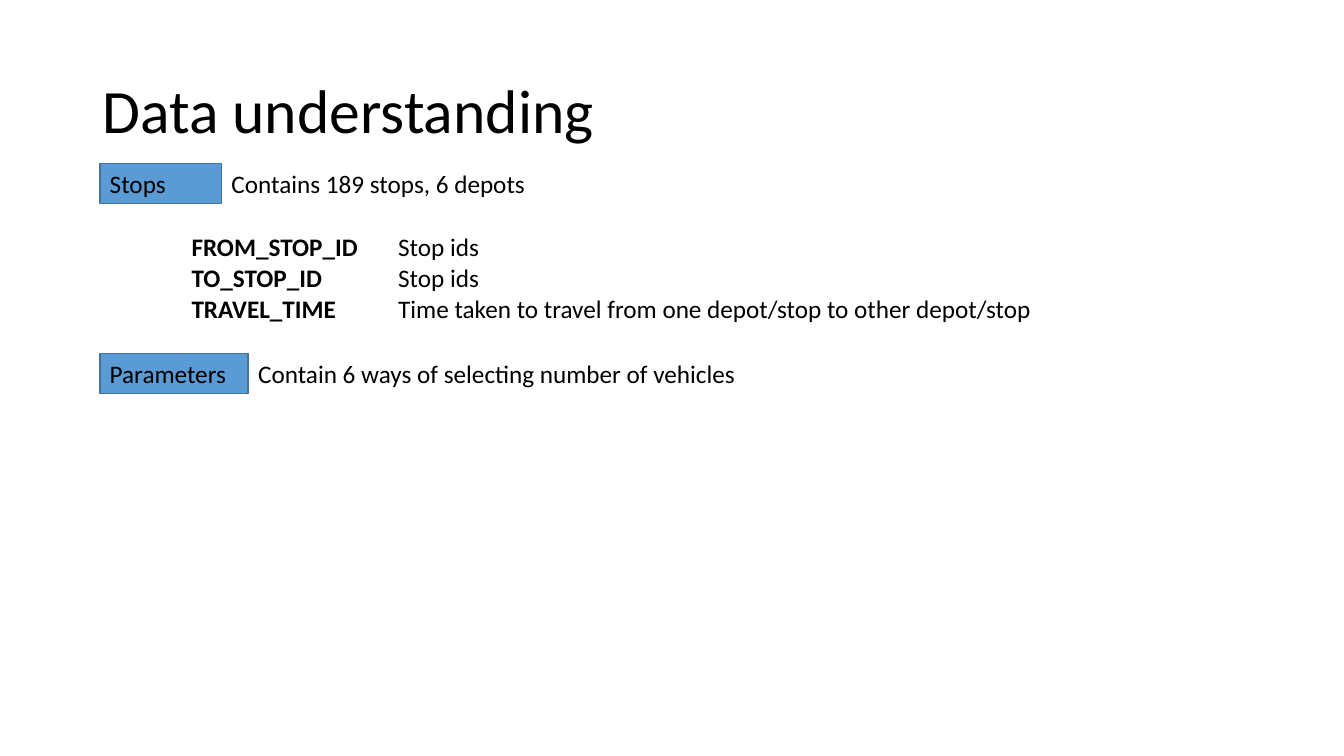
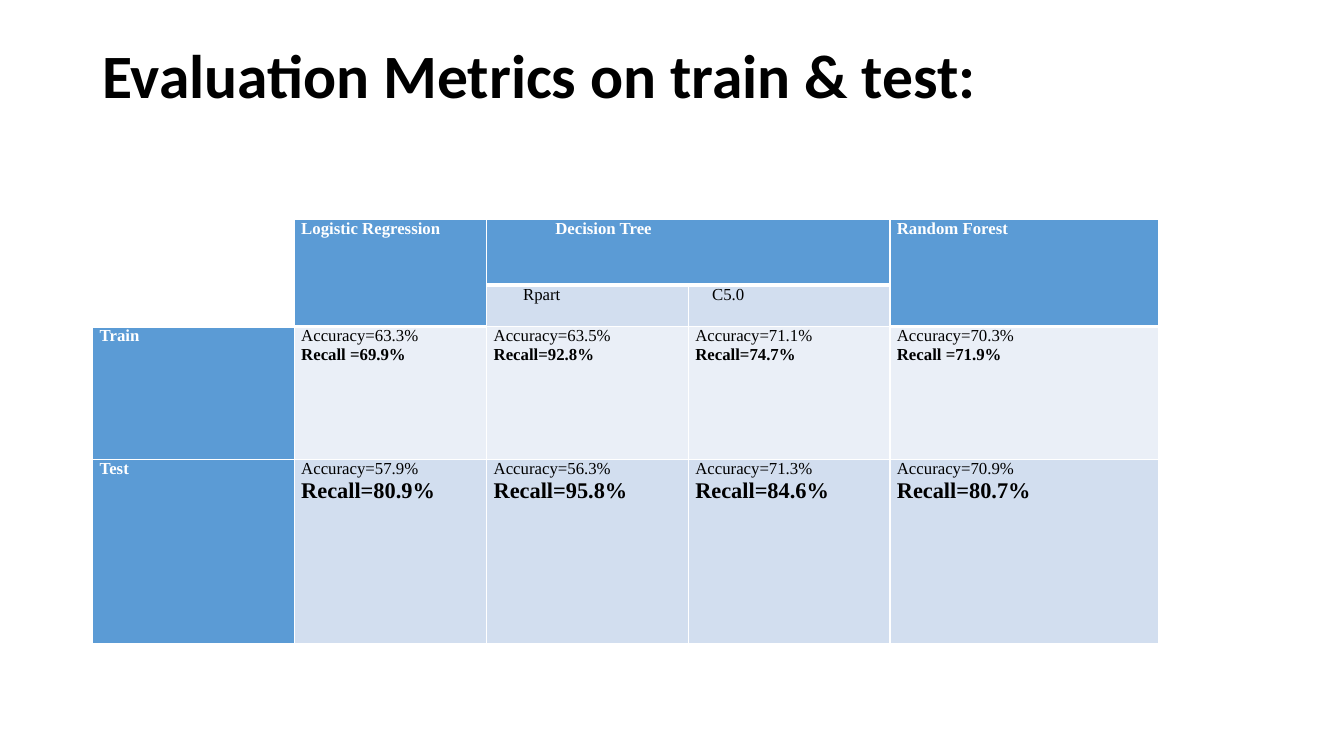
from dataclasses import dataclass

from lxml import etree
from pptx import Presentation
from pptx.dml.color import RGBColor
from pptx.enum.shapes import MSO_SHAPE
from pptx.enum.text import MSO_ANCHOR, MSO_AUTO_SIZE, PP_ALIGN
from pptx.oxml.ns import qn
from pptx.util import Pt

RECT = MSO_SHAPE.RECTANGLE
LEFT = PP_ALIGN.LEFT
TOP, MIDDLE = MSO_ANCHOR.TOP, MSO_ANCHOR.MIDDLE
NO_AUTOFIT = MSO_AUTO_SIZE.NONE

BLACK = RGBColor(0x00, 0x00, 0x00)
WHITE = RGBColor(0xFF, 0xFF, 0xFF)
BLUE = RGBColor(0x5B, 0x9B, 0xD5)
BLUE_EDGE = RGBColor(0x43, 0x73, 0x9E)
BAND_DARK = RGBColor(0xD2, 0xDE, 0xEF)
BAND_LIGHT = RGBColor(0xEA, 0xEF, 0xF7)

SANS, SERIF = "Calibri", "Times New Roman"
TITLE_ONLY = 5
LABEL_LEFT, LABEL_HEIGHT = 71.3, 28.8


@dataclass(frozen=True)
class Line:
    text: str
    size: float = 18
    bold: bool = False
    color: RGBColor = BLACK
    font: str = SANS


@dataclass(frozen=True)
class Dataset:
    name: str
    description: str
    top: float
    width: float


@dataclass(frozen=True)
class Heading:
    text: str
    row: int
    col: int
    last_row: int
    last_col: int
    fill: RGBColor = BLUE
    indent: float = 0


@dataclass(frozen=True)
class Result:
    name: str
    scores: list[tuple[str, str]]
    recall_size: float
    fill: RGBColor


DATASETS = [
    Dataset("Stops", "Contains 189 stops, 6 depots", 116.7, 87),
    Dataset("Parameters", "Contain 6 ways of selecting number of vehicles", 252.3, 106),
]
FIELDS = [
    ("FROM_STOP_ID", "Stop ids"),
    ("TO_STOP_ID", "Stop ids"),
    ("TRAVEL_TIME", "Time taken to travel from one depot/stop to other depot/stop"),
]
HEADINGS = [
    Heading("", 0, 0, 1, 0, WHITE),
    Heading("Logistic Regression", 0, 1, 1, 1),
    Heading("Decision Tree", 0, 2, 0, 3, indent=44),
    Heading("Random Forest", 0, 4, 1, 4),
    Heading("Rpart", 1, 2, 1, 2, BAND_DARK, 21),
    Heading("C5.0", 1, 3, 1, 3, BAND_DARK, 12),
]
RESULTS = [
    Result("Train", [
        ("Accuracy=63.3%", "Recall =69.9%"),
        ("Accuracy=63.5%", "Recall=92.8%"),
        ("Accuracy=71.1%", "Recall=74.7%"),
        ("Accuracy=70.3%", "Recall =71.9%"),
    ], 12, BAND_LIGHT),
    Result("Test", [
        ("Accuracy=57.9%", "Recall=80.9%"),
        ("Accuracy=56.3%", "Recall=95.8%"),
        ("Accuracy=71.3%", "Recall=84.6%"),
        ("Accuracy=70.9%", "Recall=80.7%"),
    ], 16, BAND_DARK),
]


def write(tf, lines: list[Line]) -> None:
    for i, line in enumerate(lines):
        p = tf.paragraphs[0] if i == 0 else tf.add_paragraph()
        p.alignment = LEFT
        r = p.add_run()
        r.text = line.text
        r.font.name = line.font
        r.font.size = Pt(line.size)
        r.font.bold = line.bold
        r.font.color.rgb = line.color


def add_titled_slide(prs, text: str, bold: bool = False, anchor=MIDDLE):
    s = prs.slides.add_slide(prs.slide_layouts[TITLE_ONLY])
    title = s.shapes.title
    title.left, title.top, title.width, title.height = Pt(66), Pt(28.8), Pt(828), Pt(104.4)
    tf = title.text_frame
    tf.auto_size = NO_AUTOFIT
    tf.vertical_anchor = anchor
    write(tf, [Line(text, 44, bold)])
    tf.paragraphs[0].line_spacing = 0.9
    return s


def add_dataset(s, dataset: Dataset) -> None:
    """Draw a filled name label with its description to the right."""
    top, width, height = Pt(dataset.top), Pt(dataset.width), Pt(LABEL_HEIGHT)
    label = s.shapes.add_shape(RECT, Pt(LABEL_LEFT), top, width, height)
    label.shadow.inherit = False
    label.fill.solid()
    label.fill.fore_color.rgb = BLUE
    label.line.color.rgb = BLUE_EDGE
    label.line.width = Pt(1)
    label.text_frame.vertical_anchor = MIDDLE
    write(label.text_frame, [Line(dataset.name)])

    box = s.shapes.add_textbox(Pt(LABEL_LEFT) + width, top, Pt(416), height)
    box.text_frame.word_wrap = True
    write(box.text_frame, [Line(dataset.description)])


def add_plain_table(s, left: float, top: float, widths: list[float], heights: list[float]):
    """Add a table without header or banding styles."""
    frame = s.shapes.add_table(len(heights), len(widths), Pt(left), Pt(top),
                               Pt(sum(widths)), Pt(sum(heights)))
    table = frame.table
    table.first_row = table.horz_banding = False
    for column, width in zip(table.columns, widths):
        column.width = Pt(width)
    for row, height in zip(table.rows, heights):
        row.height = Pt(height)
    return table


def set_borders(cell, bottom: float = 1) -> None:
    tc_pr = cell._tc.get_or_add_tcPr()
    edges = {"a:lnL": 1, "a:lnR": 1, "a:lnT": 1, "a:lnB": bottom}
    for i, (tag, width) in enumerate(edges.items()):
        ln = etree.Element(qn(tag), w=str(Pt(width)))
        fill = etree.SubElement(ln, qn("a:solidFill"))
        etree.SubElement(fill, qn("a:srgbClr"), val=str(WHITE))
        tc_pr.insert(i, ln)


def format_metric_cell(cell, fill: RGBColor, bottom: float = 1, indent: float = 0) -> None:
    cell.margin_left, cell.margin_right = Pt(5 + indent), Pt(5)
    cell.margin_top = cell.margin_bottom = 0
    cell.fill.solid()
    cell.fill.fore_color.rgb = fill
    set_borders(cell, bottom)


def add_heading(table, heading: Heading) -> None:
    origin = table.cell(heading.row, heading.col)
    last = table.cell(heading.last_row, heading.last_col)
    if origin is not last and (heading.row, heading.col) != (heading.last_row, heading.last_col):
        origin.merge(last)
    is_sub = heading.fill == BAND_DARK
    for row in range(heading.row, heading.last_row + 1):
        for col in range(heading.col, heading.last_col + 1):
            format_metric_cell(table.cell(row, col), heading.fill,
                               1 if is_sub else 3, heading.indent)
    if heading.text:
        color = BLACK if is_sub else WHITE
        write(origin.text_frame, [Line(heading.text, 12, not is_sub, color, SERIF)])


def add_result(table, row: int, result: Result) -> None:
    name = table.cell(row, 0)
    format_metric_cell(name, BLUE)
    write(name.text_frame, [Line(result.name, 12, True, WHITE, SERIF)])
    for col, (accuracy, recall) in enumerate(result.scores, start=1):
        cell = table.cell(row, col)
        format_metric_cell(cell, result.fill)
        write(cell.text_frame, [
            Line(accuracy, 12, font=SERIF),
            Line(recall, result.recall_size, True, font=SERIF),
        ])


def build_data_slide(prs) -> None:
    s = add_titled_slide(prs, "Data understanding")
    for dataset in DATASETS:
        add_dataset(s, dataset)
    table = add_plain_table(s, 129.6, 162.7, [147.6, 492.5], [72])
    for col, texts in enumerate(zip(*FIELDS)):
        cell = table.cell(0, col)
        cell.fill.background()
        set_borders(cell, 3)
        write(cell.text_frame, [Line(text, bold=col == 0) for text in texts])


def build_metrics_slide(prs) -> None:
    s = add_titled_slide(prs, "Evaluation Metrics on train & test:", True, TOP)
    table = add_plain_table(s, 66.2, 157, [144, 137.5, 144, 144, 192.2],
                            [46.8, 29.5, 95, 131.8])
    for heading in HEADINGS:
        add_heading(table, heading)
    for row, result in enumerate(RESULTS, start=2):
        add_result(table, row, result)


def main() -> None:
    prs = Presentation()
    prs.slide_width, prs.slide_height = Pt(960), Pt(540)
    build_data_slide(prs)
    build_metrics_slide(prs)
    prs.save("out.pptx")


if __name__ == "__main__":
    main()
